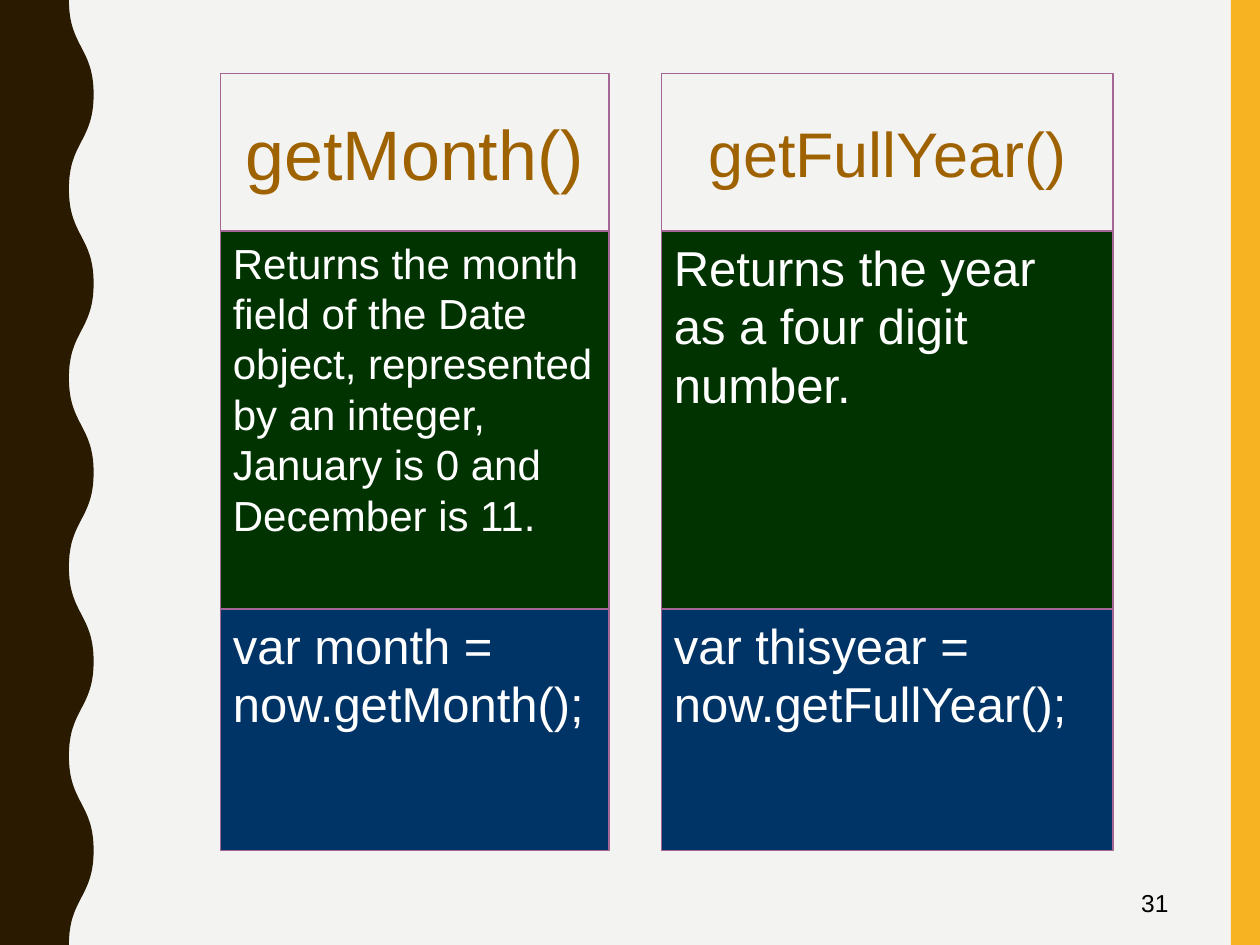
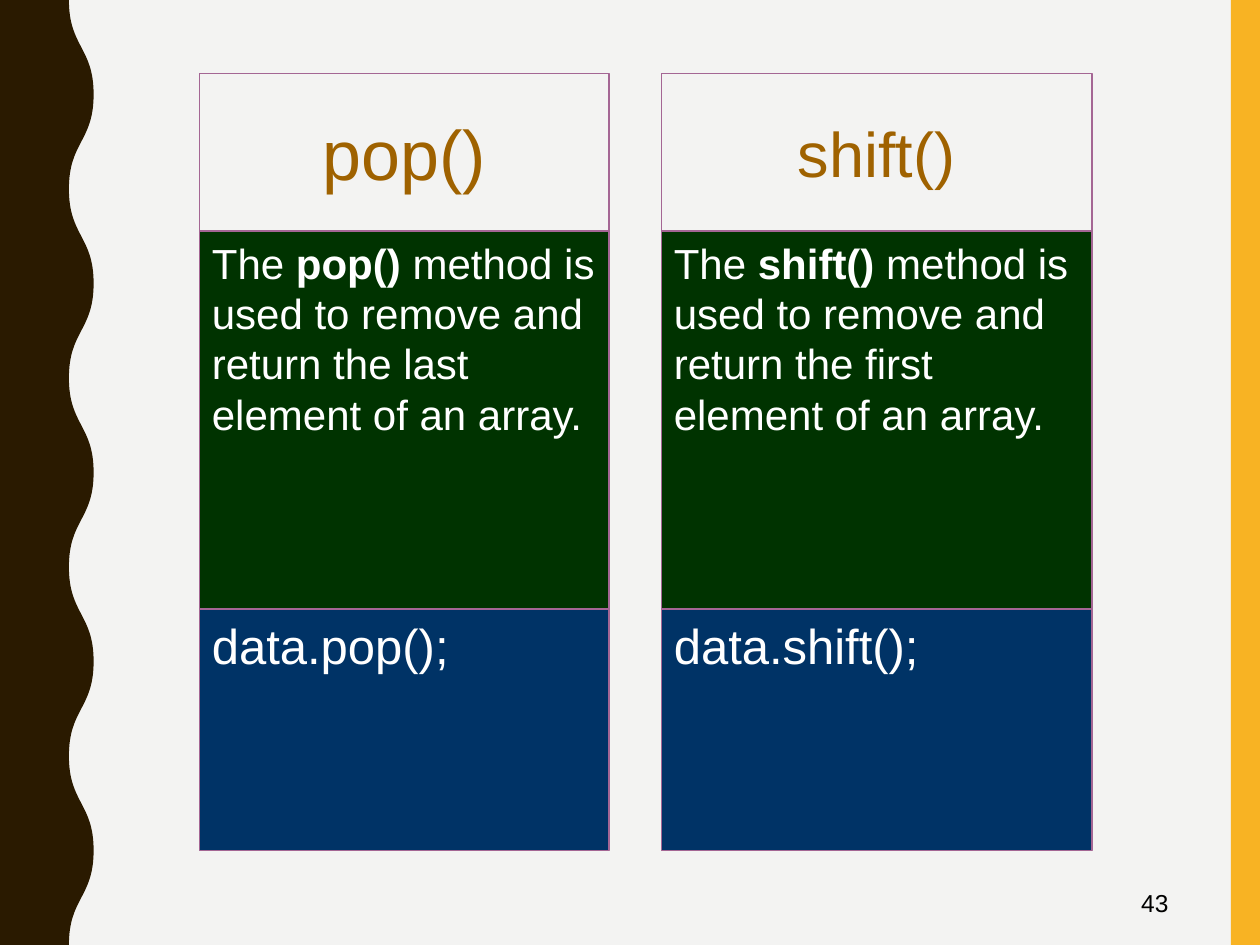
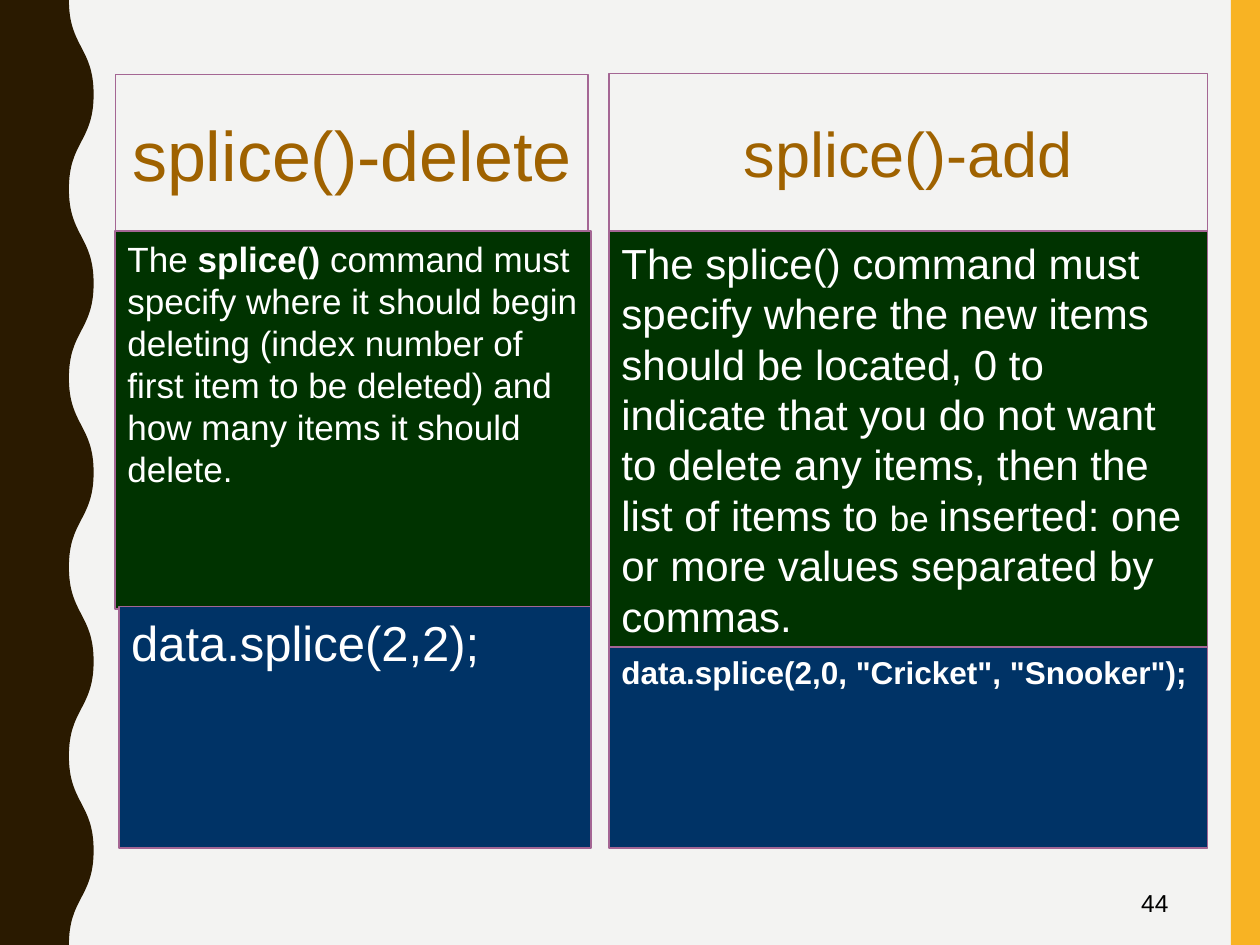
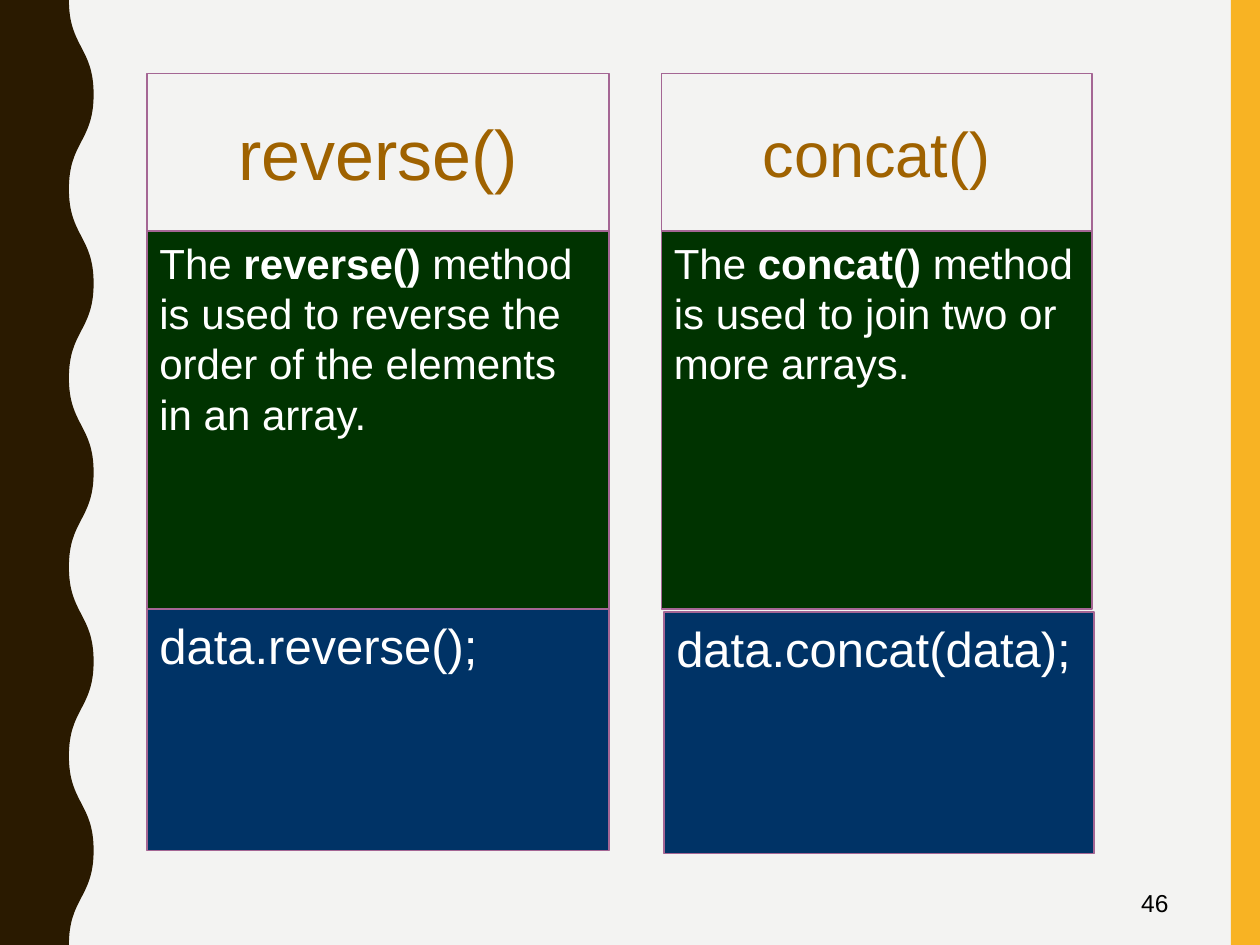
from dataclasses import dataclass

from lxml import etree
from pptx import Presentation
from pptx.dml.color import RGBColor
from pptx.enum.shapes import MSO_SHAPE
from pptx.enum.text import MSO_ANCHOR, PP_ALIGN
from pptx.oxml.ns import qn
from pptx.util import Pt

RECTANGLE = MSO_SHAPE.RECTANGLE
TOP, MIDDLE = MSO_ANCHOR.TOP, MSO_ANCHOR.MIDDLE
LEFT, CENTER, RIGHT = PP_ALIGN.LEFT, PP_ALIGN.CENTER, PP_ALIGN.RIGHT

SLIDE_WIDTH, SLIDE_HEIGHT = 720, 540
STRIPE_WIDTH = 16.6
WAVE_INNER, WAVE_OUTER = 39.4, 53.5
WAVE_COUNT = 5
UNITS_PER_POINT = 100
HEADER_ROW, BODY_ROW, CODE_ROW = (42, 90), (132, 216), (348, 138)


@dataclass(frozen=True)
class Theme:
    font: str = "Arial"
    background: str = "F3F3F2"
    stripe: str = "F8B323"
    wave: str = "2A1A00"
    border: str = "A46694"
    title: str = "9F6200"
    body_fill: str = "003300"
    code_fill: str = "003366"
    light_text: str = "FFFFFF"
    number: str = "000000"
    left_title_size: int = 40
    right_title_size: int = 36
    code_size: int = 28
    body_size: int = 24
    small_size: int = 20
    compact_code_size: int = 18
    number_size: int = 14
    line_factor: float = 1.2


THEME = Theme()


@dataclass
class Span:
    text: str
    bold: bool = False
    size: int = 0


@dataclass
class Card:
    """A method card; each row is (top, height), each shift is (dx, extra width)."""
    left: float
    width: float
    title: str
    body: list
    code: str
    title_size: int = THEME.right_title_size
    body_size: int = THEME.body_size
    code_size: int = THEME.code_size
    code_bold: bool = False
    header_row: tuple = HEADER_ROW
    body_row: tuple = BODY_ROW
    code_row: tuple = CODE_ROW
    body_shift: tuple = (0, 0)
    code_shift: tuple = (0, 0)


def method_sentence(name, ending, noun="method"):
    return [Span("The "), Span(name, bold=True), Span(f" {noun} {ending}")]


def paint(shape, fill=None, line_width=0):
    shape.shadow.inherit = False
    if fill:
        shape.fill.solid()
        shape.fill.fore_color.rgb = RGBColor.from_string(fill)
    else:
        shape.fill.background()
    if line_width:
        shape.line.color.rgb = RGBColor.from_string(THEME.border)
        shape.line.width = Pt(line_width)
    else:
        shape.line.fill.background()


def write(shape, spans, size, color, align=LEFT, anchor=TOP, spaced=False):
    frame = shape.text_frame
    frame.word_wrap = True
    frame.vertical_anchor = anchor
    para = frame.paragraphs[0]
    para.alignment = align
    if spaced:
        para.line_spacing = Pt(size * THEME.line_factor)
    for span in spans:
        run = para.add_run()
        run.text = span.text
        run.font.name = THEME.font
        run.font.size = Pt(span.size or size)
        run.font.bold = span.bold
        run.font.color.rgb = RGBColor.from_string(color)


def add_box(page, left, top, width, height, fill=None, line_width=0):
    box = page.shapes.add_shape(RECTANGLE, Pt(left), Pt(top), Pt(width), Pt(height))
    paint(box, fill, line_width)
    return box


def bend(segment, start, end):
    """Turn a straight segment into an S-curve that leaves and arrives vertically."""
    middle = (start[1] + end[1]) // 2
    segment.tag = qn("a:cubicBezTo")
    segment.clear()
    for x, y in ((start[0], middle), (end[0], middle), end):
        etree.SubElement(segment, qn("a:pt"), x=str(x), y=str(y))


def add_wave(page):
    half = SLIDE_HEIGHT * UNITS_PER_POINT // (2 * WAVE_COUNT)
    edges = [round(x * UNITS_PER_POINT) for x in (WAVE_INNER, WAVE_OUTER)]
    crests = [(edges[index % 2], index * half) for index in range(2 * WAVE_COUNT + 1)]
    corners = [(0, SLIDE_HEIGHT * UNITS_PER_POINT), (0, 0)]
    builder = page.shapes.build_freeform(*crests[0], scale=Pt(1) / UNITS_PER_POINT)
    builder.add_line_segments(crests[1:] + corners, close=True)
    wave = builder.convert_to_shape()
    segments = list(wave.element.iter(qn("a:lnTo")))
    for segment, start, end in zip(segments, crests, crests[1:]):
        curve = etree.Element(qn("a:cubicBezTo"))
        segment.getparent().replace(segment, curve)
        bend(curve, start, end)
    paint(wave, THEME.wave)


def add_page_number(page, number):
    box = page.shapes.add_textbox(Pt(508.5), Pt(502.2), Pt(166.3), Pt(27.2))
    write(box, [Span(str(number))], THEME.number_size, THEME.number, RIGHT, MIDDLE)


def add_card(page, card):
    def row_box(row, shift=(0, 0), fill=None, line_width=1):
        top, height = row
        dx, extra = shift
        return add_box(page, card.left + dx, top, card.width + extra, height, fill, line_width)

    body = row_box(card.body_row, card.body_shift, THEME.body_fill)
    write(body, card.body, card.body_size, THEME.light_text, spaced=True)
    header = row_box(card.header_row, line_width=0.75)
    write(header, [Span(card.title)], card.title_size, THEME.title, CENTER, MIDDLE)
    code = row_box(card.code_row, card.code_shift, THEME.code_fill)
    write(code, [Span(card.code, card.code_bold)], card.code_size, THEME.light_text, spaced=True)


def add_page(deck, number, cards):
    page = deck.slides.add_slide(deck.slide_layouts[6])
    add_box(page, SLIDE_WIDTH - STRIPE_WIDTH, 0, STRIPE_WIDTH, SLIDE_HEIGHT, THEME.stripe)
    add_wave(page)
    add_page_number(page, number)
    for card in cards:
        add_card(page, card)


PAGES = {
    31: [
        Card(126, 222, "getMonth()",
             [Span("Returns the month field of the Date object, represented by an integer, "
                   "January is 0 and December is 11.")],
             "var month = now.getMonth();", title_size=THEME.left_title_size),
        Card(378, 258, "getFullYear()",
             [Span("Returns the year as a four digit number.")],
             "var thisyear = now.getFullYear();", body_size=THEME.code_size),
    ],
    43: [
        Card(114, 234, "pop()",
             method_sentence("pop()", "is used to remove and return the last element of an array."),
             "data.pop();", title_size=THEME.left_title_size),
        Card(378, 246, "shift()",
             method_sentence("shift()", "is used to remove and return the first element of an array."),
             "data.shift();"),
    ],
    44: [
        Card(66, 270, "splice()-delete",
             method_sentence("splice()", "must specify where it should begin deleting (index number "
                             "of first item to be deleted) and how many items it should delete.",
                             noun="command"),
             "data.splice(2,2);", title_size=THEME.left_title_size, body_size=THEME.small_size,
             header_row=(42.5, 90), body_row=(132.1, 216), code_row=(346.6, 138),
             body_shift=(-0.25, 2), code_shift=(1.8, 0)),
        Card(348, 342, "splice()-add",
             [Span("The splice() command must specify where the new items should be located, "
                   "0 to indicate that you do not want to delete any items, then the list of items to "),
              Span("be ", size=THEME.small_size),
              Span("inserted: one or more values separated by commas.")],
             'data.splice(2,0, "Cricket", "Snooker");', code_size=THEME.compact_code_size,
             code_bold=True, body_row=(132, 240), code_row=(369.8, 114.8)),
    ],
    46: [
        Card(84, 264, "reverse()",
             method_sentence("reverse()", "is used to reverse the order of the elements in an array."),
             "data.reverse();", title_size=THEME.left_title_size),
        Card(378, 246, "concat()",
             method_sentence("concat()", "is used to join two or more arrays."),
             "data.concat(data);", code_row=(349.7, 138), code_shift=(1.4, 0)),
    ],
}


def main():
    deck = Presentation()
    deck.slide_width, deck.slide_height = Pt(SLIDE_WIDTH), Pt(SLIDE_HEIGHT)
    backdrop = deck.slide_master.background.fill
    backdrop.solid()
    backdrop.fore_color.rgb = RGBColor.from_string(THEME.background)
    for number, cards in PAGES.items():
        add_page(deck, number, cards)
    deck.save("out.pptx")


if __name__ == "__main__":
    main()
